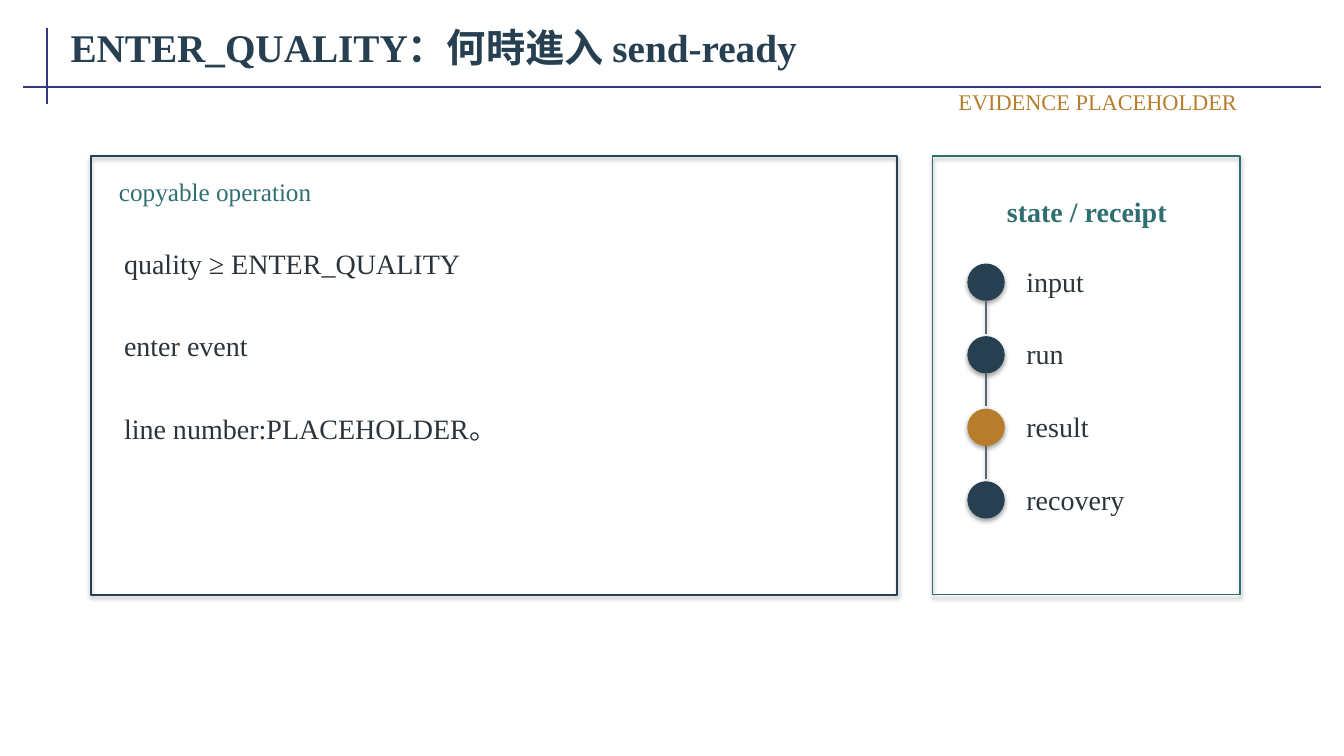
from lxml.etree import SubElement
from pptx import Presentation
from pptx.dml.color import RGBColor
from pptx.enum.shapes import MSO_CONNECTOR, MSO_SHAPE
from pptx.enum.text import MSO_ANCHOR, MSO_AUTO_SIZE, PP_ALIGN
from pptx.oxml.ns import qn
from pptx.util import Emu, Pt

NAVY = RGBColor(0x26, 0x3F, 0x51)
TEAL = RGBColor(0x2F, 0x6F, 0x70)
AMBER = RGBColor(0xB7, 0x7D, 0x2D)
INK = RGBColor(0x2A, 0x34, 0x3A)
GREY = RGBColor(0x59, 0x68, 0x6F)
INDIGO = RGBColor(0x35, 0x37, 0x7F)
FONT = "Times New Roman"

# Content
TITLE = "ENTER_QUALITY：何時進入 send-ready"
TAG = "EVIDENCE PLACEHOLDER"
OPERATION_HEADING = "copyable operation"
OPERATIONS = ["quality ≥ ENTER_QUALITY", "enter event", "line number:PLACEHOLDER。"]
STATE_HEADING = "state / receipt"
STATES = [("input", NAVY), ("run", NAVY), ("result", AMBER), ("recovery", NAVY)]

# Layout in px, 100 to the inch
PX = 9144
SLIDE_WIDTH, SLIDE_HEIGHT = 1333, 750
PANEL_TOP, PANEL_HEIGHT = 155, 435
OPERATION_TOP, OPERATION_STEP = 225, 82
DOT_LEFT, DOT_TOP, DOT_SIZE, STATE_STEP = 960, 262, 36, 72
LINK_LENGTH = 33


def px(*lengths):
    return [Emu(length * PX) for length in lengths]


def write(shape, text, size, color, bold=False, align=PP_ALIGN.LEFT,
          auto_size=MSO_AUTO_SIZE.SHAPE_TO_FIT_TEXT):
    frame = shape.text_frame
    frame.word_wrap = True
    frame.auto_size = auto_size
    frame.vertical_anchor = MSO_ANCHOR.MIDDLE
    frame.margin_left, frame.margin_right = px(8, 8)
    frame.margin_top, frame.margin_bottom = px(4, 4)
    paragraph = frame.paragraphs[0]
    paragraph.alignment = align
    run = paragraph.add_run()
    run.text = text
    run.font.name = FONT
    run.font.size = Pt(size)
    run.font.bold = bold
    run.font.color.rgb = color


def add_label(slide, box, text, size, color, **style):
    write(slide.shapes.add_textbox(*px(*box)), text, size, color, **style)


def add_outline(slide, kind, box, color, width, fill=None):
    shape = slide.shapes.add_shape(kind, *px(*box))
    if fill is None:
        shape.fill.background()
    else:
        shape.fill.solid()
        shape.fill.fore_color.rgb = fill
    shape.line.color.rgb = color
    shape.line.width = Pt(width)


def add_line(slide, ends, color, width, shadow=False):
    line = slide.shapes.add_connector(MSO_CONNECTOR.STRAIGHT, *px(*ends))
    line.line.color.rgb = color
    line.line.width = Pt(width)
    if not shadow:
        SubElement(line._element.spPr, qn("a:effectLst"))


def main():
    presentation = Presentation()
    presentation.slide_width, presentation.slide_height = px(SLIDE_WIDTH, SLIDE_HEIGHT)
    slide = presentation.slides.add_slide(presentation.slide_layouts[5])

    # Title and its crossing rules
    add_line(slide, (47, 28, 47, 103), INDIGO, 1.5)
    add_line(slide, (23, 86, 1310, 86), INDIGO, 1.5)
    title = slide.shapes.title
    title.left, title.top, title.width, title.height = px(62, 15, 1249, 62)
    write(title, TITLE, 28, NAVY, bold=True, auto_size=MSO_AUTO_SIZE.NONE)

    # Operation panel
    add_outline(slide, MSO_SHAPE.RECTANGLE, (90, PANEL_TOP, 800, PANEL_HEIGHT), NAVY, 1.4)
    add_label(slide, (110, 172, 760, 35), OPERATION_HEADING, 18, TEAL)
    for index, operation in enumerate(OPERATIONS):
        top = OPERATION_TOP + index * OPERATION_STEP
        add_label(slide, (115, top, 735, 72), operation, 20, INK)

    # State panel: a chain of dots with labels
    add_outline(slide, MSO_SHAPE.RECTANGLE, (925, PANEL_TOP, 305, PANEL_HEIGHT), TEAL, 1.1)
    add_label(slide, (948, 182, 260, 55), STATE_HEADING, 20, TEAL,
              bold=True, align=PP_ALIGN.CENTER)
    center = DOT_LEFT + DOT_SIZE // 2
    for index, (state, color) in enumerate(STATES):
        top = DOT_TOP + index * STATE_STEP
        bottom = top + DOT_SIZE
        add_outline(slide, MSO_SHAPE.OVAL, (DOT_LEFT, top, DOT_SIZE, DOT_SIZE),
                    color, 0.75, fill=color)
        add_label(slide, (1010, top - 3, 185, 40), state, 20, INK)
        if index < len(STATES) - 1:
            add_line(slide, (center, bottom, center, bottom + LINK_LENGTH),
                     GREY, 0.9, shadow=True)

    # Evidence tag
    add_label(slide, (915, 86, 320, 30), TAG, 16, AMBER, align=PP_ALIGN.RIGHT)

    presentation.save("out.pptx")


if __name__ == "__main__":
    main()
